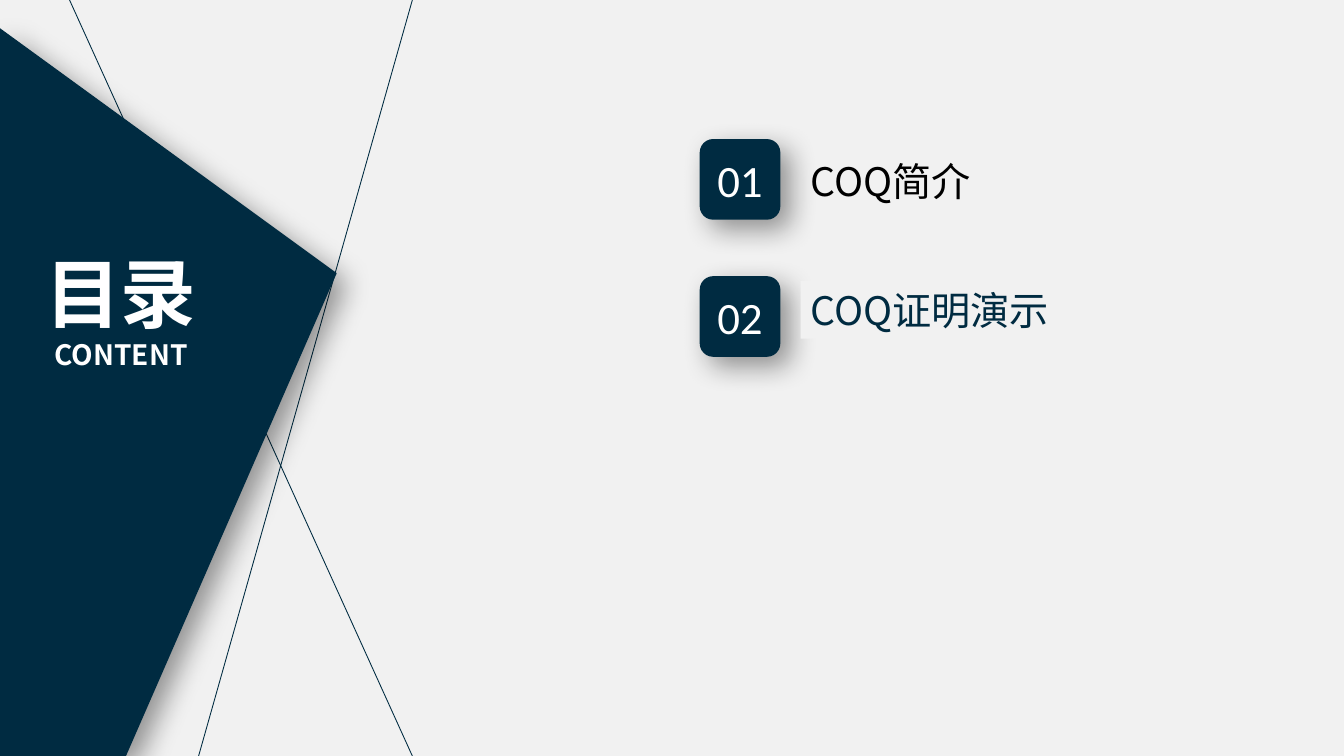
"""Build the contents slide of a COQ talk."""
from lxml.etree import SubElement
from pptx import Presentation
from pptx.dml.color import RGBColor
from pptx.enum.shapes import MSO_CONNECTOR as Connector, MSO_SHAPE as Shape
from pptx.enum.text import MSO_ANCHOR as Anchor, MSO_AUTO_SIZE as AutoSize, PP_ALIGN as Align
from pptx.oxml.ns import qn
from pptx.util import Inches, Pt

NAVY = RGBColor(0x00, 0x2B, 0x41)
PAPER = RGBColor(0xF1, 0xF1, 0xF1)
WHITE = RGBColor(0xFF, 0xFF, 0xFF)
BLACK = RGBColor(0x00, 0x00, 0x00)
CJK = "Noto Sans CJK SC"
LATIN = "Calibri"


class ContentsSlide:
    """Hold the slide and draw its elements in one style."""

    def __init__(self, deck):
        self.slide = deck.slides.add_slide(deck.slide_layouts[5])
        self.shapes = self.slide.shapes
        self.slide.background.fill.solid()
        self.slide.background.fill.fore_color.rgb = PAPER

    def add_text(self, paragraph, text, size, color, font=CJK, bold=False):
        run = paragraph.add_run()
        run.text = text
        run.font.size = Pt(size)
        run.font.bold = bold
        run.font.name = font
        run.font.color.rgb = color
        SubElement(run.font._element, qn("a:ea"), typeface=font)

    def paint(self, shape, color):
        shape.shadow.inherit = False
        shape.fill.solid()
        shape.fill.fore_color.rgb = color
        shape.line.fill.background()

    def cast_shadow(self, shape):
        effects = shape._element.spPr.find(qn("a:effectLst"))
        shadow = SubElement(effects, qn("a:outerShdw"), blurRad=str(Pt(20)), dist=str(Pt(10)),
                            dir=str(45 * 60000), algn="tl", rotWithShape="0")
        color = SubElement(shadow, qn("a:srgbClr"), val=str(BLACK))
        SubElement(color, qn("a:alpha"), val="40000")

    def line(self, *ends):
        ray = self.shapes.add_connector(Connector.STRAIGHT, *map(Inches, ends))
        ray.line.color.rgb = NAVY
        ray.line.width = Pt(0.63)
        SubElement(ray._element.spPr, qn("a:effectLst"))

    def panel(self, start, *corners):
        builder = self.shapes.build_freeform(*map(Inches, start))
        builder.add_line_segments([tuple(map(Inches, corner)) for corner in corners])
        wedge = builder.convert_to_shape()
        self.paint(wedge, NAVY)
        self.cast_shadow(wedge)

    def title(self, box, *lines):
        heading = self.shapes.title
        heading.left, heading.top, heading.width, heading.height = map(Inches, box)
        frame = heading.text_frame
        frame.word_wrap = True
        frame.auto_size = AutoSize.NONE
        frame.vertical_anchor = Anchor.TOP
        for index, (text, size) in enumerate(lines):
            paragraph = frame.add_paragraph() if index else frame.paragraphs[0]
            paragraph.alignment = Align.CENTER
            paragraph.space_before = Pt(0)
            self.add_text(paragraph, text, size, WHITE, bold=True)
        self.shapes._spTree.append(heading._element)

    def number(self, text, left, top, side=0.8):
        tile = self.shapes.add_shape(Shape.ROUNDED_RECTANGLE, *map(Inches, (left, top, side, side)))
        self.paint(tile, NAVY)
        self.cast_shadow(tile)
        frame = tile.text_frame
        frame.word_wrap = False
        frame.vertical_anchor = Anchor.MIDDLE
        frame.paragraphs[0].alignment = Align.CENTER
        self.add_text(frame.paragraphs[0], text, 32, WHITE, LATIN)

    def topic(self, text, box, color, backing=None):
        label = self.shapes.add_textbox(*map(Inches, box))
        if backing is not None:
            label.fill.solid()
            label.fill.fore_color.rgb = backing
        label.text_frame.word_wrap = True
        self.add_text(label.text_frame.paragraphs[0], text, 28, color)


def main():
    deck = Presentation()
    deck.slide_width, deck.slide_height = Inches(13.33), Inches(7.5)
    contents = ContentsSlide(deck)
    contents.line(4.09, 0, 1.97, 7.5)
    contents.line(4.09, 7.5, 0.69, 0)
    contents.panel((1.25, 7.5), (0, 7.5), (0, 0.28), (3.34, 2.71))
    contents.title((0.24, 2.4, 1.92, 1.35), ("目录", 54), ("CONTENT", 20))
    topics = [("COQ简介", 1.51, 2.9, BLACK, None), ("COQ证明演示", 2.79, 3.17, NAVY, PAPER)]
    for index, (text, top, width, color, backing) in enumerate(topics):
        contents.number(f"{index + 1:02}", 6.94, 1.38 + 1.36 * index)
        contents.topic(text, (7.94, top, width, 0.57), color, backing)
    deck.save("out.pptx")


if __name__ == "__main__":
    main()
